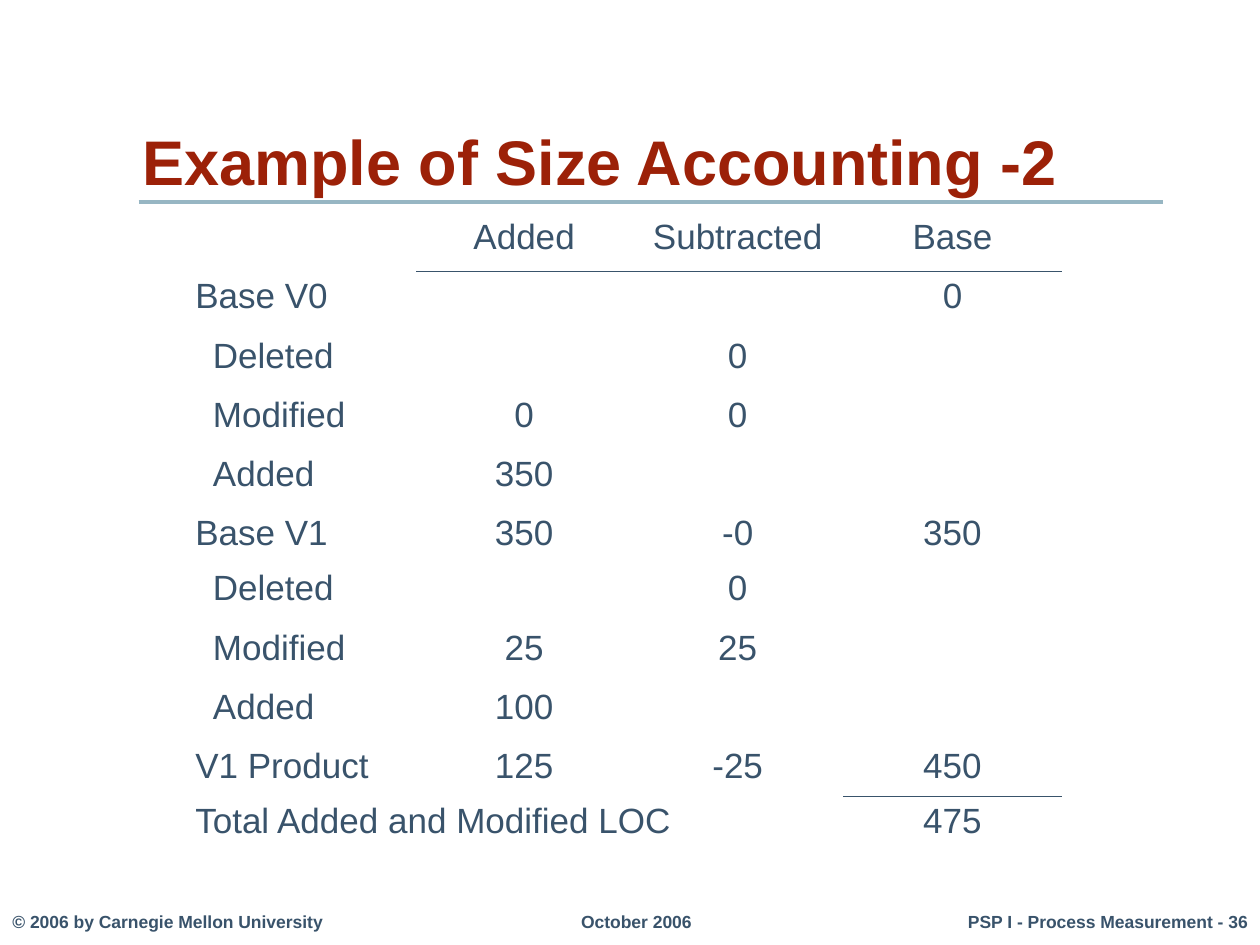
import pptx
import pptx.util
import pptx.dml.color
import pptx.enum.shapes
import pptx.enum.text
import pptx.oxml
import pptx.oxml.ns

Inches = pptx.util.Inches
Pt = pptx.util.Pt
PP_ALIGN = pptx.enum.text.PP_ALIGN
SLATE = "39536B"


def color(value):
    return pptx.dml.color.RGBColor.from_string(value)


def write(text_frame, text, size, fill, bold, alignment):
    text_frame.text = text
    paragraph = text_frame.paragraphs[0]
    paragraph.alignment = alignment
    font = paragraph.runs[0].font
    font.name = "Arial"
    font.size = Pt(size)
    font.bold = bold
    font.color.rgb = color(fill)
    return paragraph


presentation = pptx.Presentation()
presentation.slide_width = Inches(10)
presentation.slide_height = Inches(7.5)
slide = presentation.slides.add_slide(presentation.slide_layouts[6])

footers = [
    (0, 2.67, "© 2006 by Carnegie Mellon University", PP_ALIGN.LEFT, False),
    (4.51, 1.08, "October 2006", PP_ALIGN.CENTER, False),
    (6, 4, "PSP I - Process Measurement - 36", PP_ALIGN.RIGHT, True),
]
for left, width, text, alignment, wrap in footers:
    footer = slide.shapes.add_textbox(Inches(left), Inches(7.18), Inches(width), Inches(0.27))
    footer.text_frame.word_wrap = wrap
    write(footer.text_frame, text, 10, SLATE, True, alignment)

rule = slide.shapes.add_connector(
    pptx.enum.shapes.MSO_CONNECTOR.STRAIGHT, Inches(1.1), Inches(1.6), Inches(9.23), Inches(1.6)
)
rule.line.color.rgb = color("97B6C3")
rule.line.width = Pt(2.25)
rule._element.spPr.append(pptx.oxml.parse_xml(f"<a:effectLst {pptx.oxml.ns.nsdecls('a')}/>"))

title = slide.shapes.add_textbox(Inches(1), Inches(0.97), Inches(8.12), Inches(0.69))
title_frame = title.text_frame
title_frame.word_wrap = True
title_frame.vertical_anchor = pptx.enum.text.MSO_ANCHOR.MIDDLE
title_frame.margin_left = title_frame.margin_right = Inches(0.13)
title_frame.margin_top = title_frame.margin_bottom = Inches(0.06)
heading = write(title_frame, "Example of Size Accounting -2", 36, "9C2108", True, PP_ALIGN.LEFT)
heading.line_spacing = 0.88

rows = [
    ("", "Added", "Subtracted", "Base"),
    ("Base V0", "", "", "0"),
    ("Deleted", "", "0", ""),
    ("Modified", "0", "0", ""),
    ("Added", "350", "", ""),
    ("Base V1", "350", "-0", "350"),
    ("Deleted", "", "0", ""),
    ("Modified", "25", "25", ""),
    ("Added", "100", "", ""),
    ("V1 Product", "125", "-25", "450"),
    ("Total Added and Modified LOC", "", "", "475"),
]
indented = ("Deleted", "Modified", "Added")
compact_rows = (5, 9, 10)
ruled_cells = {(0, 1), (0, 2), (0, 3), (9, 3)}
column_widths = [1.86, 1.7, 1.69, 1.72]

table_shape = slide.shapes.add_table(
    len(rows), len(column_widths), Inches(1.45), Inches(1.68), Inches(6.97), Inches(5.08)
)
table = table_shape.table
table.first_row = False
table.horz_banding = False
for column, width in zip(table.columns, column_widths):
    column.width = Inches(width)

for row_index, values in enumerate(rows):
    table.rows[row_index].height = Inches(0.44 if row_index in compact_rows else 0.47)
    for column_index, value in enumerate(values):
        cell = table.cell(row_index, column_index)
        cell.fill.background()
        borders = [
            ("lnT", (row_index - 1, column_index) in ruled_cells),
            ("lnB", (row_index, column_index) in ruled_cells),
        ]
        for tag, ruled in borders:
            if ruled:
                border = pptx.oxml.parse_xml(
                    f'<a:{tag} {pptx.oxml.ns.nsdecls("a")} w="{Pt(0.45)}"><a:solidFill>'
                    f'<a:srgbClr val="{SLATE}"/></a:solidFill></a:{tag}>'
                )
                cell._tc.get_or_add_tcPr().insert(0, border)
        if value:
            alignment = PP_ALIGN.CENTER if column_index else PP_ALIGN.LEFT
            paragraph = write(cell.text_frame, value, 20, SLATE, False, alignment)
            if column_index == 0 and value in indented:
                paragraph.level = 1
                properties = paragraph._p.get_or_add_pPr()
                properties.set("marL", str(Inches(0.14)))
                properties.set("indent", "0")

table.cell(10, 0).merge(table.cell(10, 2))

presentation.save("out.pptx")
